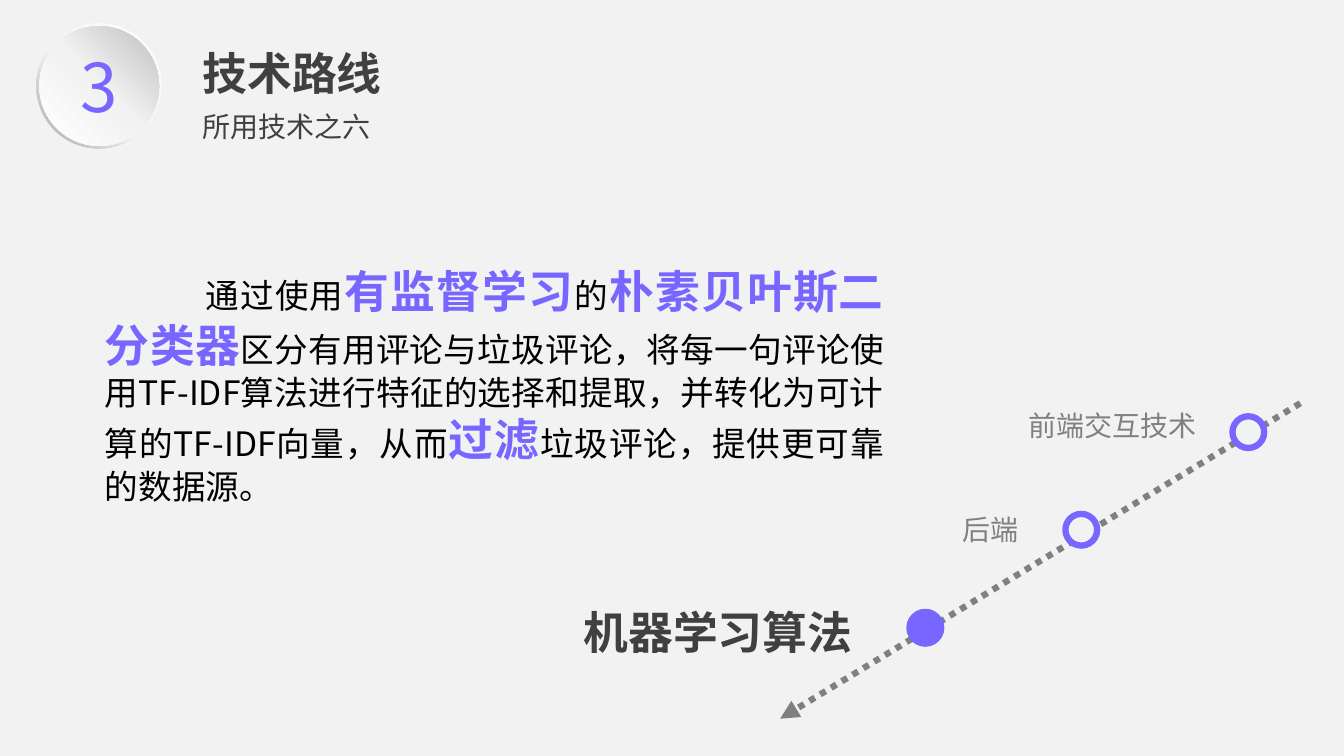
from copy import deepcopy

from pptx import Presentation
from pptx.dml.color import RGBColor
from pptx.enum.dml import MSO_LINE
from pptx.enum.shapes import MSO_CONNECTOR, MSO_SHAPE
from pptx.enum.text import MSO_ANCHOR, MSO_AUTO_SIZE, PP_ALIGN
from pptx.oxml.ns import qn
from pptx.util import Cm, Pt
from lxml.etree import SubElement


def color(value):
    return RGBColor.from_string(value)


class RouteSlide:
    FONT = "Noto Sans CJK SC"
    PURPLE = "7766FF"
    DARK = "404040"
    GRAY = "808080"
    PAPER = "F2F2F2"

    def __init__(self, presentation):
        self.slide = presentation.slides.add_slide(presentation.slide_layouts[1])
        fill = self.slide.background.fill
        fill.solid()
        fill.fore_color.rgb = color(self.PAPER)

    def fill_text(self, shape, box, runs, align=PP_ALIGN.LEFT, font=FONT, wrap=True):
        shape.left, shape.top, shape.width, shape.height = map(Cm, box)
        frame = shape.text_frame
        frame.word_wrap = wrap
        frame.auto_size = MSO_AUTO_SIZE.NONE
        frame.vertical_anchor = MSO_ANCHOR.TOP
        paragraph = frame.paragraphs[0]
        paragraph.alignment = align
        paragraph.space_before = Pt(0)
        for text, size, tone, bold in runs:
            run = paragraph.add_run()
            run.text = text
            run.font.size = Pt(size)
            run.font.bold = bold
            run.font.name = font
            run.font.color.rgb = color(tone)
            SubElement(run.font._element, qn("a:ea"), typeface=self.FONT)
        return paragraph

    def title(self, box, text):
        runs = [(text, 32, self.DARK, True)]
        self.fill_text(self.slide.shapes.title, box, runs, font="Arial", wrap=False)

    def body(self, box, parts, indent):
        runs = [(text, 32, self.PURPLE, True) if strong else (text, 24, "000000", False)
                for text, strong in parts]
        paragraph = self.fill_text(self.slide.placeholders[1], box, runs, PP_ALIGN.JUSTIFY)
        properties = paragraph._p.get_or_add_pPr()
        properties.set("marL", "0")
        properties.set("indent", str(Cm(indent)))
        SubElement(properties, qn("a:buNone"))

    def label(self, box, text, size, tone, bold=False, align=PP_ALIGN.LEFT):
        shape = self.slide.shapes.add_textbox(*map(Cm, box))
        self.fill_text(shape, box, [(text, size, tone, bold)], align)

    def round_shape(self, kind, left, top, size):
        shape = self.slide.shapes.add_shape(kind, Cm(left), Cm(top), Cm(size), Cm(size))
        shape.shadow.inherit = False
        shape.line.fill.background()
        return shape

    def gradient(self, kind, left, top, size, stops, angle):
        shape = self.round_shape(kind, left, top, size)
        shape.fill.gradient()
        shape.fill.gradient_angle = angle
        first = shape.fill.gradient_stops[0]._gs
        first.addnext(deepcopy(first))
        for stop, (position, tone) in zip(shape.fill.gradient_stops, stops):
            stop.position = position
            stop.color.rgb = color(tone)
        return shape

    def marker(self, left, top, active):
        shape = self.round_shape(MSO_SHAPE.OVAL, left, top, 0.8)
        shape.fill.solid()
        shape.fill.fore_color.rgb = color(self.PURPLE if active else self.PAPER)
        shape.line.color.rgb = color(self.PURPLE)
        shape.line.width = Pt(4.5)

    def dotted_arrow(self, start, end):
        arrow = self.slide.shapes.add_connector(
            MSO_CONNECTOR.STRAIGHT, *map(Cm, start + end))
        arrow.line.color.rgb = color(self.GRAY)
        arrow.line.width = Pt(4.5)
        arrow.line.dash_style = MSO_LINE.ROUND_DOT
        SubElement(arrow.line._get_or_add_ln(), qn("a:tailEnd"), type="triangle")
        SubElement(arrow._element.spPr, qn("a:effectLst"))


def main():
    presentation = Presentation()
    presentation.slide_width, presentation.slide_height = Cm(33.87), Cm(19.05)
    route = RouteSlide(presentation)

    route.title((4.85, 1.02, 5.08, 1.62), "技术路线")
    route.label((4.85, 2.64, 7.2, 1.12), "所用技术之六", 20, route.DARK)

    ring = route.gradient(MSO_SHAPE.DONUT, 0.92, 0.59, 3.15,
                          [(0, "FFFFFF"), (0.55, "F2F2F2"), (1, "A6A6A6")], 225)
    ring.adjustments[0] = 0.049
    route.gradient(MSO_SHAPE.OVAL, 0.99, 0.66, 3.02,
                   [(0, "FFFFFF"), (0.51, "F2F2F2"), (1, "BFBFBF")], 45)
    route.label((1.78, 1.02, 1.22, 2.31), "3", 48, route.PURPLE)

    route.dotted_arrow((32.77, 10.16), (19.66, 18.11))
    steps = [
        ((31.06, 10.49), (20.62, 10.16, 9.78, 1.12), "前端交互技术", False),
        ((26.85, 12.95), (18.82, 12.78, 7.09, 1.12), "后端", False),
        ((22.92, 15.42), (12.6, 15.11, 9.14, 1.62), "机器学习算法", True),
    ]
    for (left, top), box, text, active in steps:
        route.marker(left, top, active)
        size, tone = (32, route.DARK) if active else (20, route.GRAY)
        route.label(box, text, size, tone, active, PP_ALIGN.RIGHT)

    route.body((2.39, 6.53, 20.14, 6.4), [
        ("通过使用", False),
        ("有监督学习", True),
        ("的", False),
        ("朴素贝叶斯二分类器", True),
        ("区分有用评论与垃圾评论，将每一句评论使用TF-IDF算法进行特征的选择和提取，"
         "并转化为可计算的TF-IDF向量，从而", False),
        ("过滤", True),
        ("垃圾评论，提供更可靠的数据源。", False),
    ], 2.54)
    presentation.save("out.pptx")


if __name__ == "__main__":
    main()
